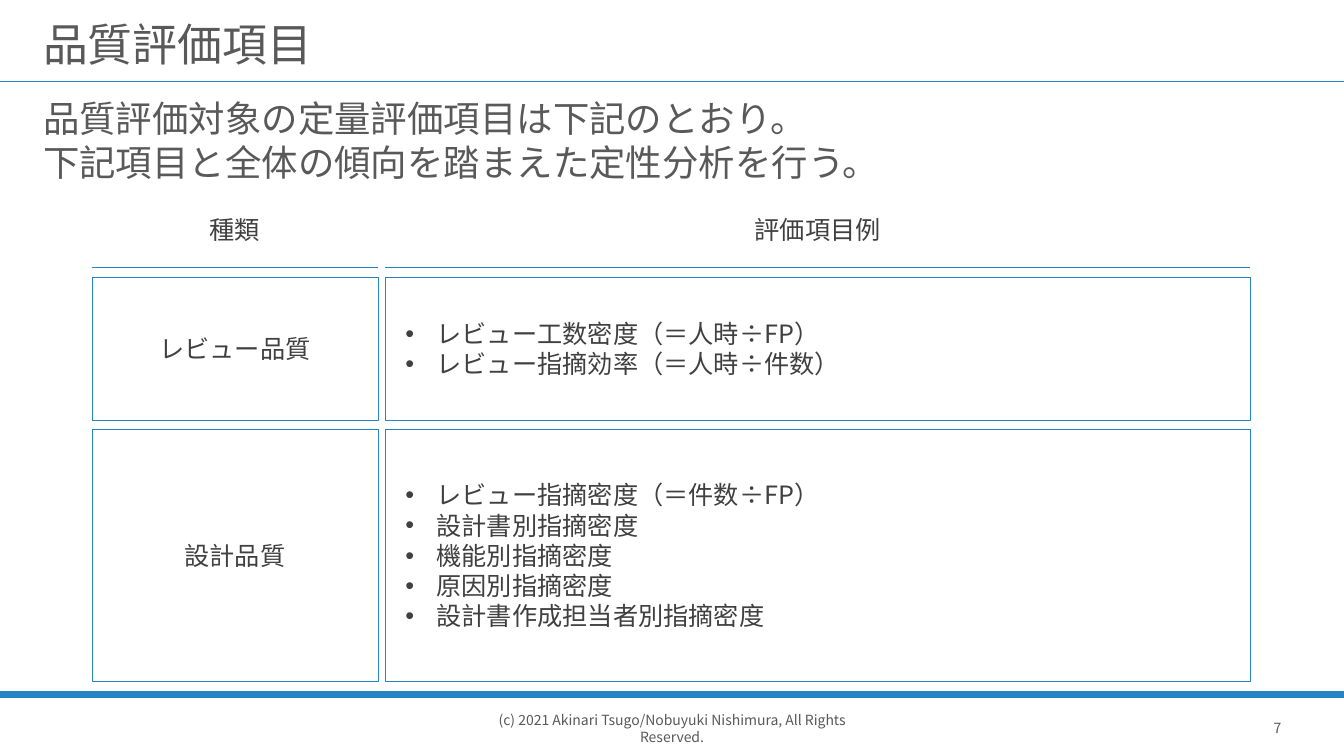
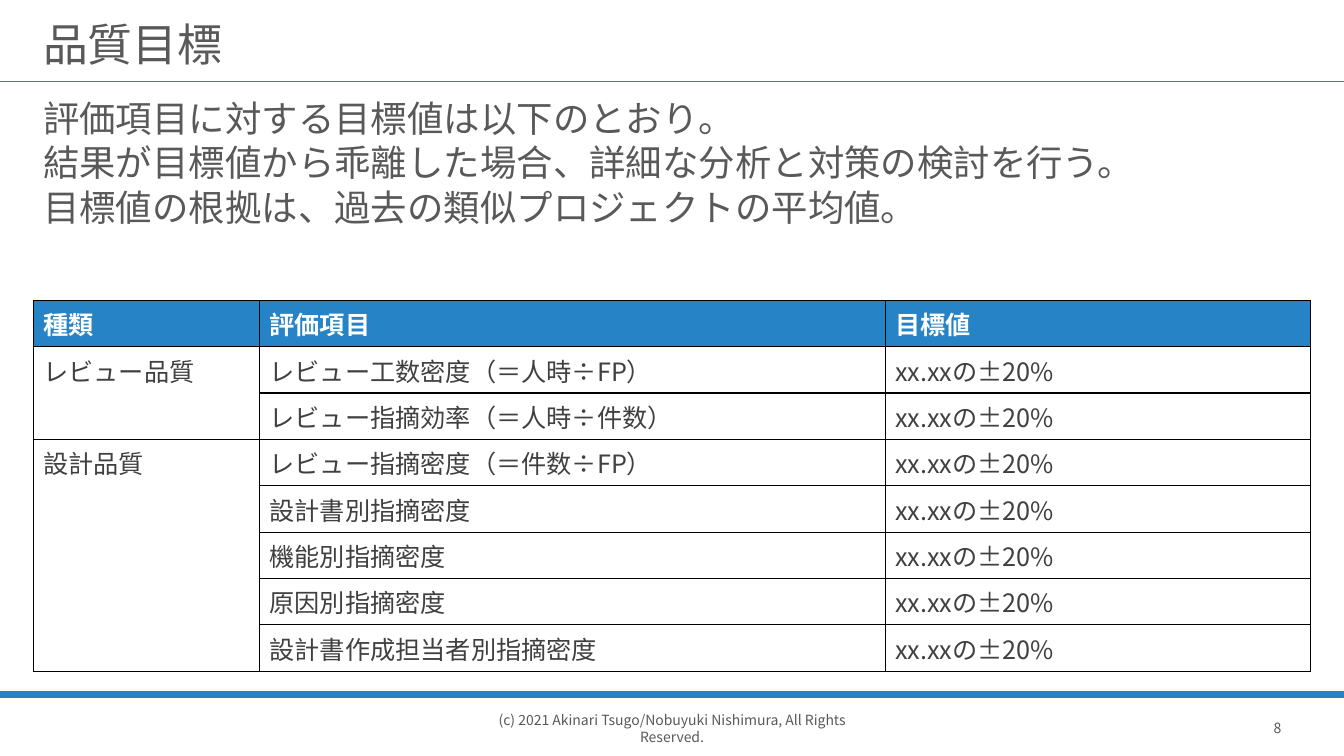
"""Builds two slides on quality evaluation items and their targets."""
from dataclasses import dataclass

from lxml.etree import SubElement
from pptx import Presentation
from pptx.dml.color import RGBColor as Rgb
from pptx.enum.shapes import MSO_CONNECTOR as Conn, MSO_SHAPE as Shape
from pptx.enum.text import MSO_ANCHOR as Anchor, PP_ALIGN as Align
from pptx.oxml.ns import qn
from pptx.util import Inches, Pt

GROUPS = [
    ("レビュー品質", ["レビュー工数密度（＝人時÷FP）", "レビュー指摘効率（＝人時÷件数）"]),
    ("設計品質", ["レビュー指摘密度（＝件数÷FP）", "設計書別指摘密度", "機能別指摘密度",
              "原因別指摘密度", "設計書作成担当者別指摘密度"]),
]
ITEMS = {
    "title": "品質評価項目",
    "lead": ["品質評価対象の定量評価項目は下記のとおり。",
             "下記項目と全体の傾向を踏まえた定性分析を行う。"],
    "heads": ["種類", "評価項目例"],
}
GOALS = {
    "title": "品質目標",
    "lead": ["評価項目に対する目標値は以下のとおり。",
             "結果が目標値から乖離した場合、詳細な分析と対策の検討を行う。",
             "目標値の根拠は、過去の類似プロジェクトの平均値。"],
    "heads": ["種類", "評価項目", "目標値"],
    "goal": "xx.xxの±20%",
}
RIGHTS = "(c) 2021 Akinari Tsugo/Nobuyuki Nishimura, All Rights Reserved."
FIRST = 7


@dataclass(frozen=True)
class Theme:
    """Colours, font and type sizes."""
    blue: str = "2683C6"
    grey: str = "595959"
    dark: str = "404040"
    white: str = "FFFFFF"
    black: str = "000000"
    font: str = "Noto Sans CJK JP"
    title: int = 32
    lead: int = 26
    body: int = 18
    foot: int = 10


T = Theme()
WIDE, HIGH = 13.33, 7.5
EDGE = 0.33
FULL = WIDE - 2 * EDGE
COLS = [(0.91, 2.84), (3.82, 8.58)]
HEAD_Y, RULE_Y, GRID_Y = 2.05, 2.65, 2.75
PAD, STEP, GAP = 0.35, 0.36, 0.09
BULLET = 0.31
SHARES = [0.177, 0.49, 0.333]
TABLE_Y, ROW = 2.98, 0.46


def paint(frame, size, tone, bold=False, align=None, line=None, gap=0):
    """Style every paragraph and run of a text frame."""
    for i, para in enumerate(frame.paragraphs):
        para.alignment = align
        para.line_spacing = line
        para.space_before = Pt(gap if i else 0)
        for run in para.runs:
            font = run.font
            font.size, font.bold, font.name = Pt(size), bold, T.font
            font.color.rgb = Rgb.from_string(tone)
            SubElement(font._element, qn("a:ea"), typeface=T.font)


def inset(frame, left, top, right, low):
    """Set the four margins of a text frame."""
    frame.margin_left, frame.margin_top = Inches(left), Inches(top)
    frame.margin_right, frame.margin_bottom = Inches(right), Inches(low)


def label(slide, box, text, size, tone, anchor=Anchor.TOP, wrap=True, **style):
    """Add a text box and return its frame."""
    frame = slide.shapes.add_textbox(*map(Inches, box)).text_frame
    frame.word_wrap, frame.vertical_anchor = wrap, anchor
    frame.text = text
    paint(frame, size, tone, **style)
    return frame


def rule(slide, left, top, width, weight):
    """Draw a level blue line."""
    line = slide.shapes.add_connector(
        Conn.STRAIGHT, *map(Inches, (left, top, left + width, top)))
    line.line.color.rgb = Rgb.from_string(T.blue)
    line.line.width = Pt(weight)
    SubElement(line._element.spPr, qn("a:effectLst"))


def panel(slide, box, lines, bullets=False):
    """Add a thin-framed panel with a centred name or a bullet list."""
    shape = slide.shapes.add_shape(Shape.RECTANGLE, *map(Inches, box))
    shape.shadow.inherit = False
    shape.fill.solid()
    shape.fill.fore_color.rgb = Rgb.from_string(T.white)
    shape.line.color.rgb = Rgb.from_string(T.blue)
    shape.line.width = Pt(0.25)
    frame = shape.text_frame
    frame.word_wrap, frame.vertical_anchor = True, Anchor.MIDDLE
    side = 0.2 if bullets else 0.24
    inset(frame, side, 0.08, side, 0.08)
    frame.text = "\n".join(lines)
    if bullets:
        for para in frame.paragraphs:
            prop = para._p.get_or_add_pPr()
            prop.set("marL", str(Inches(BULLET)))
            prop.set("indent", str(-Inches(BULLET)))
            SubElement(prop, qn("a:buFont"), typeface="Arial")
            SubElement(prop, qn("a:buChar"), char="•")
    paint(frame, T.body, T.dark, align=Align.LEFT if bullets else Align.CENTER)


def base(deck, data, page):
    """Add a slide with its title, lead text, rules and footer."""
    slide = deck.slides.add_slide(deck.slide_layouts[6])
    rule(slide, 0, 0.81, WIDE, 1)
    rule(slide, 0, 6.89, WIDE, 4.5)
    for left, width, text in ((12.34, 0.66, str(page)), (4.62, 4.09, RIGHTS)):
        label(slide, (left, 6.95, width, 0.55), text, T.foot, T.grey,
              Anchor.MIDDLE, False, align=Align.CENTER)
    title = label(slide, (EDGE, 0.05, FULL, 0.69), data["title"], T.title,
                  T.grey, Anchor.MIDDLE, line=0.9)
    inset(title, 0.1, 0.2, 0.1, 0.05)
    label(slide, (EDGE, 0.95, FULL, 0.73), "\n".join(data["lead"]), T.lead,
          T.grey, line=0.9, gap=4)
    return slide


def grid(slide):
    """Lay out the headed panels, each as high as its list needs."""
    for (left, width), head in zip(COLS, ITEMS["heads"]):
        frame = label(slide, (left, HEAD_Y, width, 0.46), head, T.body,
                      T.dark, align=Align.CENTER)
        inset(frame, 0.24, 0.08, 0.24, 0.08)
        rule(slide, left, RULE_Y, width, 0.25)
    top = GRID_Y
    for name, items in GROUPS:
        high = 2 * PAD + STEP * len(items)
        for (left, width), lines in zip(COLS, ([name], items)):
            panel(slide, (left, top, width, high), lines, lines is items)
        top += high + GAP


def border(cell):
    """Give a cell thin black edges ahead of its fill."""
    prop = cell._tc.get_or_add_tcPr()
    for i, side in enumerate(("lnL", "lnR", "lnT", "lnB")):
        edge = SubElement(prop, qn("a:" + side), w=str(Pt(1)))
        fill = SubElement(edge, qn("a:solidFill"))
        SubElement(fill, qn("a:srgbClr"), val=T.black)
        prop.insert(i, edge)


def table(slide):
    """Add the target table, with one merged name per group."""
    rows = [GOALS["heads"]]
    spans = []
    for name, items in GROUPS:
        spans.append((len(rows), len(rows) + len(items) - 1))
        rows += [(name if i == 0 else "", item, GOALS["goal"])
                 for i, item in enumerate(items)]
    box = (EDGE, TABLE_Y, FULL, ROW * len(rows))
    sheet = slide.shapes.add_table(
        len(rows), len(SHARES), *map(Inches, box)).table
    for col, share in zip(sheet.columns, SHARES):
        col.width = Inches(FULL * share)
    for r, row in enumerate(rows):
        sheet.rows[r].height = Inches(ROW)
        for c, text in enumerate(row):
            cell = sheet.cell(r, c)
            cell.text = text
            cell.fill.solid()
            cell.fill.fore_color.rgb = Rgb.from_string(T.white if r else T.blue)
            border(cell)
            paint(cell.text_frame, T.body, T.dark if r else T.white, bold=r == 0)
    for start, end in spans:
        sheet.cell(start, 0).merge(sheet.cell(end, 0))


def main():
    """Build and save the deck."""
    deck = Presentation()
    deck.slide_width, deck.slide_height = Inches(WIDE), Inches(HIGH)
    for page, (data, fill) in enumerate(((ITEMS, grid), (GOALS, table)), FIRST):
        fill(base(deck, data, page))
    deck.save("out.pptx")


if __name__ == "__main__":
    main()
